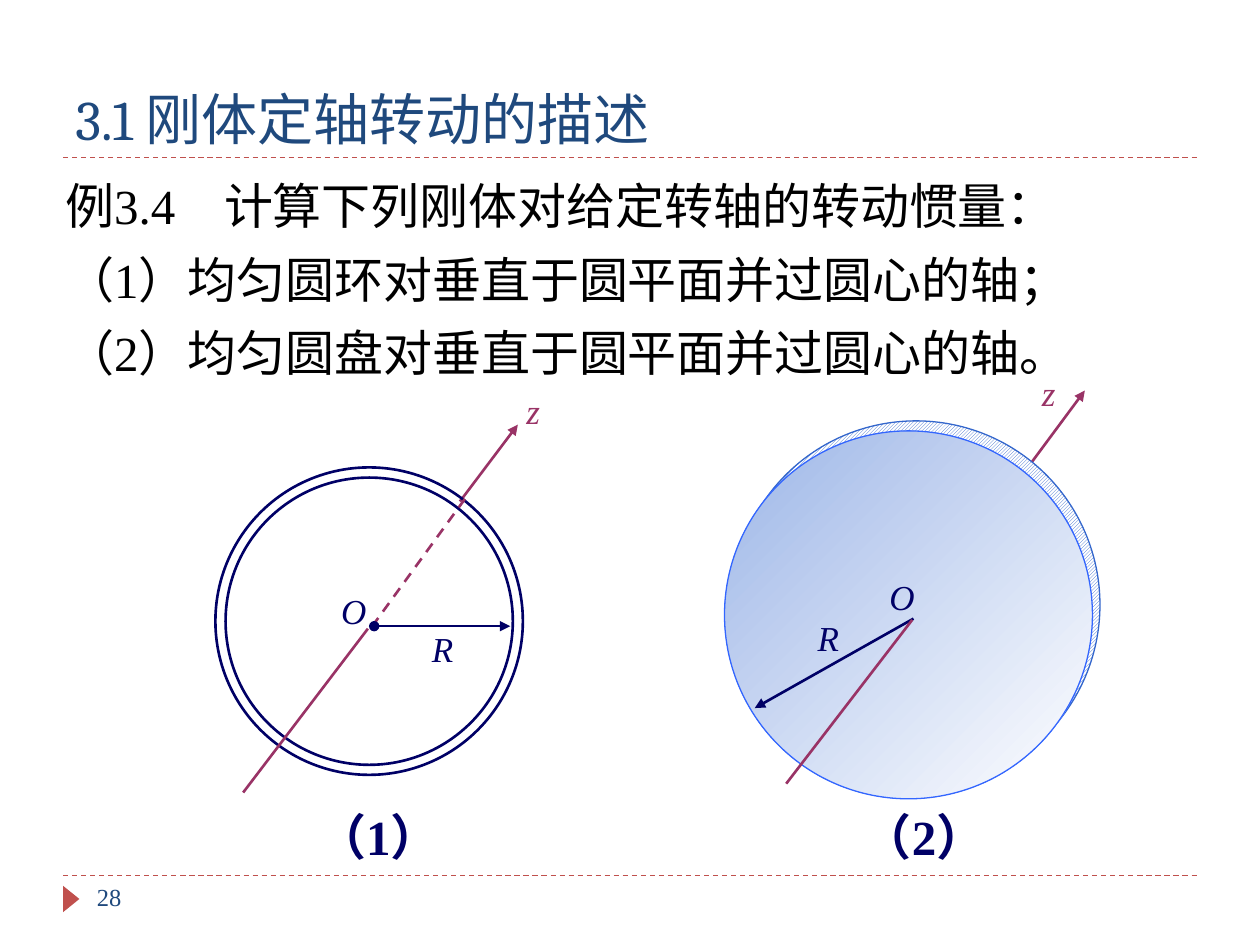
from lxml import etree
from pptx import Presentation
from pptx.dml.color import RGBColor
from pptx.enum.dml import MSO_LINE, MSO_PATTERN
from pptx.enum.shapes import MSO_CONNECTOR, MSO_SHAPE
from pptx.enum.text import MSO_ANCHOR
from pptx.oxml.ns import qn
from pptx.util import Inches, Pt

DASH, HATCH = MSO_LINE.DASH, MSO_PATTERN.LIGHT_UPWARD_DIAGONAL
TOP, MIDDLE, BOTTOM = MSO_ANCHOR.TOP, MSO_ANCHOR.MIDDLE, MSO_ANCHOR.BOTTOM
ELLIPSE, TRIANGLE = MSO_SHAPE.OVAL, MSO_SHAPE.ISOSCELES_TRIANGLE
STRAIGHT = MSO_CONNECTOR.STRAIGHT

WIDTH, HEIGHT = 10, 7.5
MARGIN = WIDTH * 0.05
RULES = (1.25, 6.95)
SERIF = "Times New Roman"
COLORS = {
    "accent": "C0504D", "title": "1F497D", "text": "000000",
    "ink": "000066", "axis": "993366", "rim": "3366CC",
    "edge": "3366FF", "shade": "9DB6E7", "white": "FFFFFF",
}

# Content
TITLE = "3.1 刚体定轴转动的描述"
PAGE = "28"
PROBLEM = [
    "例3.4\t计算下列刚体对给定转轴的转动惯量：",
    "（1）均匀圆环对垂直于圆平面并过圆心的轴；",
    "（2）均匀圆盘对垂直于圆平面并过圆心的轴。",
]

# Figures: every position is an offset from the centre of the body.
# circles: dx, dy, radius, style; lines: from, to, colour, dash, head, tail
FIGURES = [
    {
        "center": (2.93, 4.93),
        "front_axis": ((0.72, -0.95), (1.18, -1.56)),
        "circles": [(0, 0, 1.22, "ring"), (0, 0, 1.14, "ring")],
        "lines": [
            ((-1, 1.36), (-0.01, 0.06), "axis", None, None, None),
            ((0.76, -0.97), (0.01, 0.06), "axis", DASH, None, None),
            ((0.04, 0.04), (1.12, 0.04), "ink", None, "oval", "triangle"),
        ],
        "labels": [("z", 1.15, -1.89, "axis"), ("R", 0.4, 0, "ink"),
                   ("O", -0.32, -0.3, "ink")],
        "caption": ("（1）", -0.51, 1.42),
    },
    {
        "center": (7.21, 4.88),
        "front_axis": ((0.94, -1.16), (1.4, -1.78)),
        "circles": [(0.06, -0.08, 1.46, "rim"), (0, 0, 1.46, "disk")],
        "lines": [
            ((0.04, 0.03), (-1.22, 0.74), "ink", None, None, "triangle"),
            ((-0.97, 1.34), (0.03, 0.04), "axis", None, None, None),
        ],
        "labels": [("z", 0.96, -1.98, "axis"), ("R", -0.82, -0.04, "ink"),
                   ("O", -0.25, -0.36, "ink")],
        "caption": ("（2）", -0.46, 1.47),
    },
]


def rgb(name):
    return RGBColor.from_string(COLORS[name])


def add_text(slide, box, lines, size, color, font=SERIF, anchor=TOP,
             bold=False, italic=False, spacing=None, tab=None):
    frame = slide.shapes.add_textbox(*map(Inches, box)).text_frame
    frame.word_wrap = True
    frame.vertical_anchor = anchor
    for index, line in enumerate(lines):
        paragraph = frame.paragraphs[0] if index == 0 else frame.add_paragraph()
        if tab and "\t" in line:
            tabs = etree.SubElement(paragraph._p.get_or_add_pPr(), qn("a:tabLst"))
            etree.SubElement(tabs, qn("a:tab"), pos=str(Inches(tab)), algn="l")
        if spacing:
            paragraph.line_spacing = spacing
        run = paragraph.add_run()
        run.text = line
        run.font.name, run.font.size = font, Pt(size)
        run.font.bold, run.font.italic = bold, italic
        run.font.color.rgb = rgb(color)


def add_line(slide, start, end, color, dash=None, head=None, tail=None, width=1.5):
    connector = slide.shapes.add_connector(STRAIGHT, *map(Inches, (*start, *end)))
    connector.line.color.rgb = rgb(color)
    connector.line.width = Pt(width)
    if dash:
        connector.line.dash_style = dash
    outline = connector.line._get_or_add_ln()
    for tag, kind in (("a:headEnd", head), ("a:tailEnd", tail)):
        if kind:
            etree.SubElement(outline, qn(tag), type=kind)
    etree.SubElement(connector._element.spPr, qn("a:effectLst"))


def add_circle(slide, x, y, radius, style):
    box = (x - radius, y - radius, 2 * radius, 2 * radius)
    shape = slide.shapes.add_shape(ELLIPSE, *map(Inches, box))
    shape.shadow.inherit = False
    color, width = {"ring": ("ink", 1.5), "rim": ("rim", 0.75),
                    "disk": ("edge", 0.75)}[style]
    shape.line.color.rgb = rgb(color)
    shape.line.width = Pt(width)
    fill = shape.fill
    if style == "ring":
        fill.background()
    elif style == "rim":
        fill.patterned()
        fill.pattern = HATCH
        fill.fore_color.rgb, fill.back_color.rgb = rgb("rim"), rgb("white")
    else:
        fill.gradient()
        fill.gradient_angle = 315
        for stop, name in zip(fill.gradient_stops, ("shade", "white")):
            stop.color.rgb = rgb(name)


def add_figure(slide, figure):
    center_x, center_y = figure["center"]

    def place(point):
        return center_x + point[0], center_y + point[1]

    start, end = figure["front_axis"]
    add_line(slide, place(start), place(end), "axis", tail="triangle")
    for dx, dy, radius, style in figure["circles"]:
        add_circle(slide, *place((dx, dy)), radius, style)
    for start, end, *look in figure["lines"]:
        add_line(slide, place(start), place(end), *look)
    for text, dx, dy, color in figure["labels"]:
        add_text(slide, (*place((dx, dy)), 0.41, 0.43), [text], 20, color, italic=True)
    text, dx, dy = figure["caption"]
    add_text(slide, (*place((dx, dy)), 1.57, 0.57), [text], 28, "ink", bold=True)


def main():
    presentation = Presentation()
    presentation.slide_width, presentation.slide_height = Inches(WIDTH), Inches(HEIGHT)
    slide = presentation.slides.add_slide(presentation.slide_layouts[6])

    # Rules and page marker
    for y in RULES:
        add_line(slide, (MARGIN, y), (WIDTH - MARGIN, y), "accent", DASH, width=0.75)
    marker = slide.shapes.add_shape(TRIANGLE, *map(Inches, (0.46, 7.07, 0.21, 0.13)))
    marker.rotation = 90
    marker.shadow.inherit = False
    marker.fill.solid()
    marker.fill.fore_color.rgb = rgb("accent")
    marker.line.fill.background()

    # Title, page number and problem
    add_text(slide, (MARGIN, 0.25, WIDTH - 2 * MARGIN, 1), [TITLE], 32, "title",
             font="Cambria", anchor=BOTTOM)
    add_text(slide, (0.67, RULES[1], 2.17, 0.4), [PAGE], 14, "title")
    add_text(slide, (0.42, 1.23, 9.14, 1.85), PROBLEM, 28, "text",
             anchor=MIDDLE, spacing=1.25, tab=1.26)

    # Ring and disk
    for figure in FIGURES:
        add_figure(slide, figure)
    presentation.save("out.pptx")


if __name__ == "__main__":
    main()
